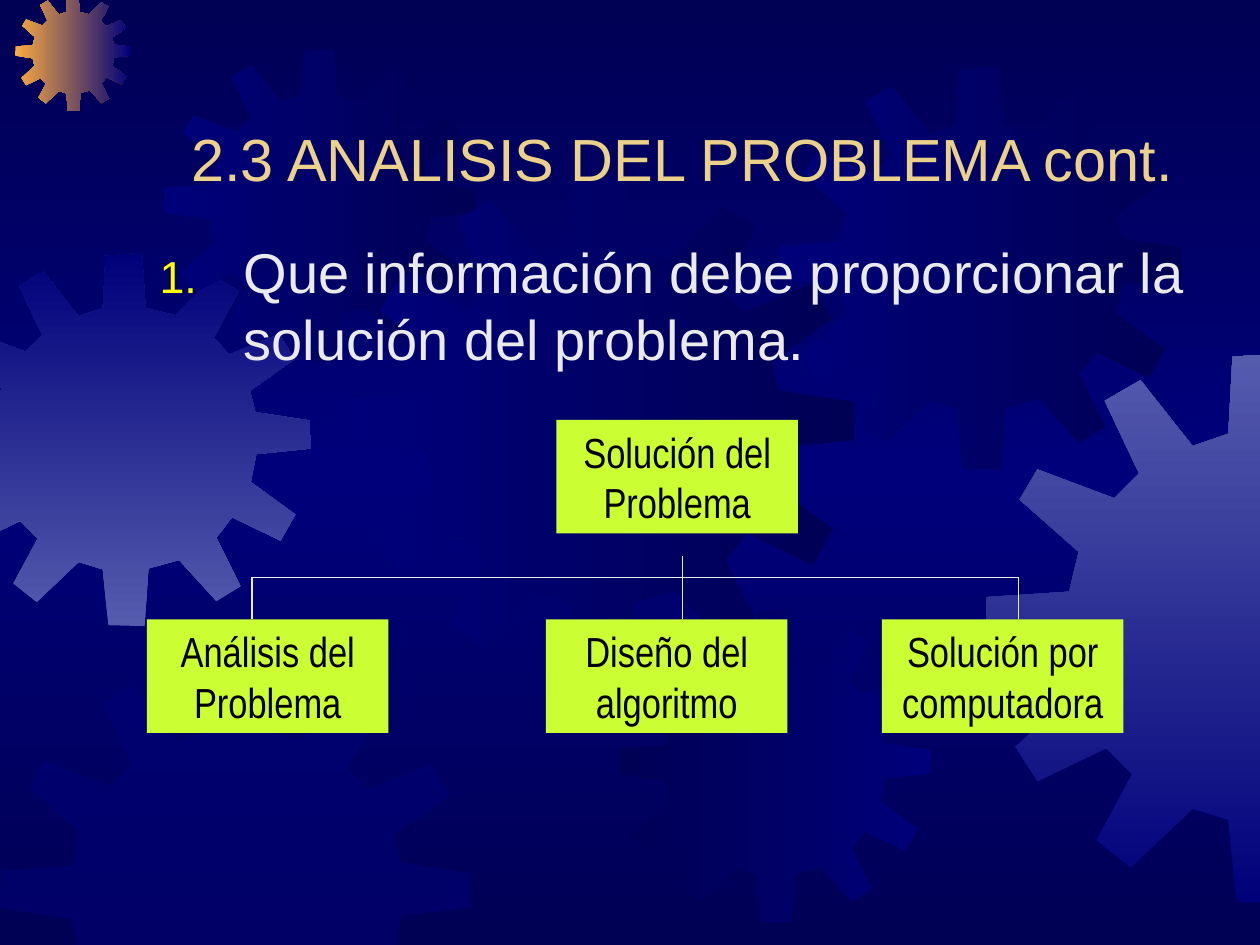
import copy
from dataclasses import dataclass

import pptx
import pptx.dml.color
import pptx.enum.shapes
import pptx.enum.text
import pptx.oxml
import pptx.oxml.ns
import pptx.util
from lxml import etree

RGB = pptx.dml.color.RGBColor
NAVY = RGB(0x00, 0x00, 0x54)
BLUE = RGB(0x00, 0x00, 0x7A)
LAVENDER = RGB(0x55, 0x5B, 0xAD)
ORANGE = RGB(0xFC, 0xAB, 0x40)
GOLD = RGB(0xEB, 0xD1, 0x89)
YELLOW = RGB(0xFF, 0xFF, 0x00)
LIME = RGB(0xCC, 0xFF, 0x33)
PALE = RGB(0xEA, 0xEA, 0xEA)
BLACK = RGB(0x00, 0x00, 0x00)

WIDTH, HEIGHT = 10, 7.5
CELL = 1 / 12  # the grid has 120 columns and 90 rows

GEAR_SPAN = 401
GEAR_OUTLINE = [
    (255, 67), (223, 59), (219, 0), (180, 3), (177, 59), (151, 68),
    (113, 20), (87, 35), (112, 88), (94, 106), (38, 85), (25, 107),
    (68, 145), (61, 174), (1, 178), (0, 210), (61, 219), (67, 246),
    (22, 287), (38, 312), (88, 288), (107, 307), (81, 355), (106, 375),
    (151, 332), (177, 340), (183, 400), (222, 401), (226, 339), (259, 330),
    (299, 374), (325, 358), (299, 306), (316, 284), (368, 309), (384, 281),
    (336, 246), (342, 216), (401, 210), (400, 180), (341, 171), (335, 148),
    (383, 114), (367, 87), (313, 109), (296, 91), (323, 41), (297, 25),
]


@dataclass
class Gear:
    """Place and diameter in inches; the angle runs counter-clockwise."""
    left: float
    top: float
    size: float
    start: RGB
    end: RGB | None = None
    angle: int = 0


@dataclass
class Box:
    text: str
    col: int
    row: int


@dataclass
class Line:
    col1: int
    row1: int
    col2: int
    row2: int


GEARS = [
    Gear(-0.49, 2.01, 2.96, LAVENDER, BLUE, 90),
    Gear(0.12, -0.04, 0.92, ORANGE, BLUE),
    Gear(1.3, 0.39, 2.48, NAVY, BLUE, 180),
    Gear(2.77, 1.39, 4.01, BLUE, NAVY),
    Gear(0, 5.25, 3.74, BLUE),
    Gear(4.91, 4.84, 2.48, NAVY, BLUE),
    Gear(6.18, 0.53, 3.2, BLUE, NAVY),
    Gear(7.82, 2.8, 4.37, BLUE, LAVENDER, 90),
]
BOXES = [
    Box("Solución del Problema", 53, 40),
    Box("Análisis del Problema", 14, 59),
    Box("Diseño del algoritmo", 52, 59),
    Box("Solución por computadora", 84, 59),
]
LINES = [Line(24, 55, 97, 55), Line(65, 53, 65, 55)]
LINES += [Line(col, 55, col, 59) for col in (24, 65, 97)]


def grid(cells: float) -> int:
    return pptx.util.Inches(cells * CELL)


def clip(points: list, axis: int, limit: float, sign: int) -> list:
    """Keep the part of a polygon where sign * (coordinate - limit) >= 0."""
    kept = []
    for a, b in zip(points[-1:] + points[:-1], points):
        da, db = (sign * (q[axis] - limit) for q in (a, b))
        if (da >= 0) != (db >= 0):
            t = da / (da - db)
            kept.append(tuple(u + t * (v - u) for u, v in zip(a, b)))
        if db >= 0:
            kept.append(b)
    return kept


def paint_gradient(fill, angle: int, *colors: RGB) -> None:
    fill.gradient()
    fill.gradient_angle = angle
    for stop, color in zip(fill.gradient_stops, colors):
        stop.color.rgb = color


def paint_background(s) -> None:
    fill = s.background.fill
    paint_gradient(fill, 270, NAVY, BLUE)
    stops = s.element.find(".//" + pptx.oxml.ns.qn("a:gsLst"))
    stops.append(copy.deepcopy(stops[0]))
    fill.gradient_stops[1].position = 0.5
    fill.gradient_stops[2].position = 1.0


def draw_gear(s, gear: Gear) -> None:
    scale = gear.size / GEAR_SPAN
    points = [(gear.left + x * scale, gear.top + y * scale) for x, y in GEAR_OUTLINE]
    for axis, limit in enumerate((WIDTH, HEIGHT)):
        points = clip(clip(points, axis, 0, 1), axis, limit, -1)
    points = [(pptx.util.Inches(x), pptx.util.Inches(y)) for x, y in points]
    builder = s.shapes.build_freeform(*points[0])
    builder.add_line_segments(points[1:], close=True)
    sp = builder.convert_to_shape()
    sp.shadow.inherit = False
    sp.line.fill.background()
    if gear.end is not None:
        paint_gradient(sp.fill, gear.angle, gear.start, gear.end)
    else:
        sp.fill.solid()
        sp.fill.fore_color.rgb = gear.start
        color = sp.element.spPr.find(".//" + pptx.oxml.ns.qn("a:srgbClr"))
        etree.SubElement(color, pptx.oxml.ns.qn("a:alpha"), val="50000")


def write(p, text: str, font: str, size: int, color: RGB) -> None:
    p.space_before = pptx.util.Pt(0)
    r = p.add_run()
    r.text = text
    r.font.name = font
    r.font.size = pptx.util.Pt(size)
    r.font.color.rgb = color


def draw_box(s, box: Box) -> None:
    sp = s.shapes.add_shape(pptx.enum.shapes.MSO_SHAPE.RECTANGLE,
                            grid(box.col), grid(box.row), grid(23), grid(10.8))
    sp.shadow.inherit = False
    sp.fill.solid()
    sp.fill.fore_color.rgb = LIME
    sp.line.fill.background()
    tf = sp.text_frame
    tf.word_wrap = True
    tf.auto_size = pptx.enum.text.MSO_AUTO_SIZE.SHAPE_TO_FIT_TEXT
    tf.vertical_anchor = pptx.enum.text.MSO_ANCHOR.TOP
    p = tf.paragraphs[0]
    p.alignment = pptx.enum.text.PP_ALIGN.CENTER
    write(p, box.text, "Arial Narrow", 24, BLACK)


def draw_line(s, line: Line) -> None:
    c = s.shapes.add_connector(pptx.enum.shapes.MSO_CONNECTOR.STRAIGHT,
                               grid(line.col1), grid(line.row1),
                               grid(line.col2), grid(line.row2))
    c.line.color.rgb = PALE
    c.line.width = pptx.util.Pt(0.75)
    etree.SubElement(c.element.spPr, pptx.oxml.ns.qn("a:effectLst"))


def place(s, sp, row: int, rows: int, anchor):
    """Bring a placeholder in front, set its rows and return its paragraph."""
    s.shapes.element.append(sp.element)
    sp.left, sp.top, sp.width, sp.height = map(grid, (14, row, 102, rows))
    tf = sp.text_frame
    tf.auto_size = pptx.enum.text.MSO_AUTO_SIZE.NONE
    tf.vertical_anchor = anchor
    return tf.paragraphs[0]


def number(p) -> None:
    pPr = p._p.get_or_add_pPr()
    pPr.set("marL", str(grid(8)))
    pPr.set("indent", str(-grid(8)))
    ns = pptx.oxml.ns.nsdecls("a")
    for xml in (f'<a:buClr {ns}><a:srgbClr val="{YELLOW}"/></a:buClr>',
                f'<a:buSzPct {ns} val="80000"/>',
                f'<a:buFont {ns} typeface="Arial"/>',
                f'<a:buAutoNum {ns} type="arabicPeriod"/>'):
        pPr.append(pptx.oxml.parse_xml(xml))


def main() -> None:
    prs = pptx.Presentation()
    prs.slide_width = pptx.util.Inches(WIDTH)
    prs.slide_height = pptx.util.Inches(HEIGHT)
    s = prs.slides.add_slide(prs.slide_layouts[1])
    paint_background(s)
    for gear in GEARS:
        draw_gear(s, gear)
    p = place(s, s.shapes.title, 4, 15, pptx.enum.text.MSO_ANCHOR.BOTTOM)
    p.alignment = pptx.enum.text.PP_ALIGN.CENTER
    write(p, "2.3 ANALISIS DEL PROBLEMA cont.", "Arial", 34, GOLD)
    p = place(s, s.placeholders[1], 22, 54, pptx.enum.text.MSO_ANCHOR.TOP)
    number(p)
    write(p, "Que información debe proporcionar la solución del problema.", "Arial", 32, PALE)
    for box in BOXES:
        draw_box(s, box)
    for line in LINES:
        draw_line(s, line)
    prs.save("out.pptx")


if __name__ == "__main__":
    main()
